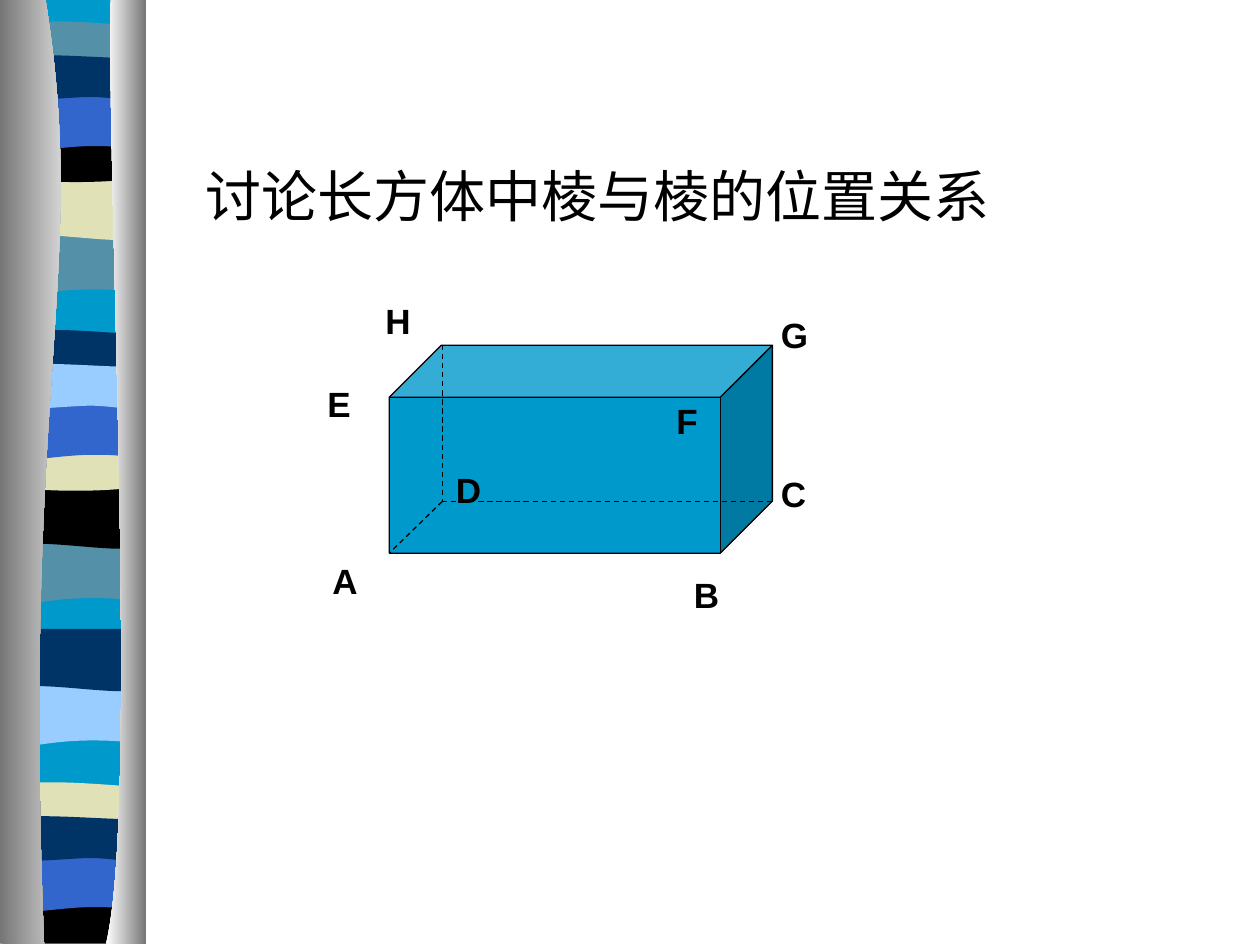
from pptx import Presentation
from pptx.dml.color import RGBColor
from pptx.enum.dml import MSO_LINE
from pptx.enum.shapes import MSO_CONNECTOR, MSO_SHAPE
from pptx.enum.text import MSO_ANCHOR, MSO_AUTO_SIZE, PP_ALIGN
from pptx.oxml.ns import qn
from pptx.util import Inches, Pt
from lxml import etree

DASH = MSO_LINE.DASH
STRAIGHT = MSO_CONNECTOR.STRAIGHT
CUBE = MSO_SHAPE.CUBE
TOP = MSO_ANCHOR.TOP
NO_FIT = MSO_AUTO_SIZE.NONE
LEFT = PP_ALIGN.LEFT

SKY, TEAL, SAND, NAVY = "0099CC", "5490A8", "E1E1B7", "003366"
BLACK, BLUE, PALE, WHITE, GREY = "000000", "3366CC", "99CCFF", "FFFFFF", "767676"

BANDS = {
    "wave": [(1.14, 0), (1.14, 0.47), (0.39, 0.39, 0.24, 0.55, 0.06, 0.47), (0.06, 0)],
    "swell": [(1.14, 0), (1.14, 0.47), (0.96, 0.55, 0.39, 0.41, 0.06, 0.47), (0.06, 0)],
    "lens": [(1.14, 0.05), (1.14, 0.29), (0.96, 0.33, 0.24, 0.33, 0.06, 0.29),
             (0.06, 0.05), (0.12, 0, 0.29, 0.01, 0.47, 0.01),
             (0.65, 0.01, 1, 0.04, 1.14, 0.05)],
    "dip": [(1.14, 0), (1.14, 0.32), (0.96, 0.38, 0.24, 0.38, 0.06, 0.32),
            (0.06, 0), (0.72, 0.05, 0.91, 0, 1.14, 0)],
    "foot": [(1.14, 0), (1.14, 0.37), (0.06, 0.37), (0.06, 0),
             (0.72, 0.05, 0.91, 0, 1.14, 0)],
    "arch": [(1.14, 0), (1.14, 0.47), (0.97, 0.42, 0.9, 0.42, 0.72, 0.42),
             (0.54, 0.42, 0.22, 0.47, 0.06, 0.47), (0.06, 0)],
    "ripple": [(1.14, 0.05), (1.14, 0.36), (1.07, 0.41, 0.9, 0.36, 0.72, 0.36),
               (0.54, 0.36, 0.17, 0.41, 0.06, 0.36), (0.06, 0.05),
               (0.21, 0, 0.79, 0.05, 0.97, 0.05), (1.15, 0.05, 1.1, 0.05, 1.14, 0.05)],
}
BAND_TOPS = {"wave": 1.85, "swell": 1.41, "lens": 0.16, "dip": 1.08,
             "foot": 1.08, "arch": 0.74, "ripple": 0.41}
BAND_SETS = [
    (0, {"wave": TEAL, "swell": SAND, "lens": TEAL,
         "dip": BLACK, "arch": BLUE, "ripple": NAVY}),
    (2.45, {"wave": TEAL, "swell": BLACK, "lens": NAVY,
            "dip": SAND, "arch": BLUE, "ripple": PALE}),
    (3.58, {"wave": PALE, "swell": NAVY}),
    (6.04, {"lens": SAND, "foot": BLACK, "arch": BLUE, "ripple": NAVY}),
]
LABELS = [("A", 2.54, 4.39), ("C", 6.1, 3.7), ("B", 5.41, 4.5), ("D", 3.52, 3.67),
          ("F", 5.27, 3.12), ("E", 2.5, 2.99), ("H", 2.96, 2.33), ("G", 6.1, 2.44)]


def rgb(value):
    """Return the colour of a hex string."""
    return RGBColor.from_string(value)


def bend(sp, outline):
    """Turn the segments of each six-number part into one Bezier curve."""
    segments = iter(list(sp._element.iter(qn("a:lnTo"))))
    for part in outline[1:]:
        first = next(segments)
        if len(part) == 6:
            first.tag = qn("a:cubicBezTo")
            for segment in (next(segments), next(segments)):
                first.append(segment[0])
                segment.getparent().remove(segment)


def add_outline(s, outline, *colors, top=0):
    """Add a closed outline with a solid fill or a left-to-right gradient."""
    points = [(Inches(part[i]), Inches(part[i + 1] + top))
              for part in outline for i in range(0, len(part), 2)]
    builder = s.shapes.build_freeform(*points[0], scale=1.0)
    builder.add_line_segments(points[1:], close=True)
    sp = builder.convert_to_shape()
    bend(sp, outline)
    sp.shadow.inherit = False
    sp.line.fill.background()
    if len(colors) == 1:
        sp.fill.solid()
        sp.fill.fore_color.rgb = rgb(colors[0])
    else:
        sp.fill.gradient()
        sp.fill.gradient_angle = 0
        for stop, color in zip(sp.fill.gradient_stops, colors):
            stop.color.rgb = rgb(color)


def add_ribbon(s):
    """Add the striped ribbon between its two grey edges."""
    add_outline(s, [(1.14, -0.01), (1.14, 7.47), (0.06, 7.47), (0.06, -0.01)], SKY)
    for offset, colors in BAND_SETS:
        for name, color in colors.items():
            add_outline(s, BANDS[name], color, top=BAND_TOPS[name] + offset)
    add_outline(s, [(0.36, -0.01), (0.71, 2.16, 0.17, 2.96, 0.35, 7.49),
                    (0, 7.49), (0, -0.01)], GREY, WHITE)
    add_outline(s, [(0.88, -0.01), (0.84, 1.25, 1.11, 6.46, 0.84, 7.49),
                    (1.16, 7.49), (1.16, -0.01)], WHITE, GREY)


def add_cuboid(s, left, top, width, height):
    """Add the cuboid."""
    sp = s.shapes.add_shape(CUBE, Inches(left), Inches(top), Inches(width), Inches(height))
    sp.adjustments[0] = 0.25
    sp.shadow.inherit = False
    sp.fill.solid()
    sp.fill.fore_color.rgb = rgb(SKY)
    sp.line.color.rgb = rgb(BLACK)
    sp.line.width = Pt(0.75)


def add_hidden_edge(s, start, end):
    """Add a dashed edge between two points."""
    line = s.shapes.add_connector(STRAIGHT, *map(Inches, start + end))
    line.line.color.rgb = rgb(BLACK)
    line.line.width = Pt(0.75)
    line.line.dash_style = DASH
    sp_pr = line._element.find(qn("p:spPr"))
    etree.SubElement(sp_pr, qn("a:effectLst"))


def put_text(sp, text, size, font, bold=False, color=BLACK):
    """Write one left-aligned line of formatted text into a shape."""
    tf = sp.text_frame
    tf.word_wrap = True
    tf.auto_size = NO_FIT
    tf.vertical_anchor = TOP
    p = tf.paragraphs[0]
    p.alignment = LEFT
    r = p.add_run()
    r.text = text
    r.font.size = Pt(size)
    r.font.name = font
    r.font.bold = bold
    r.font.color.rgb = rgb(color)


def add_title(s, text, left, top, width, height):
    """Move and fill the title placeholder."""
    sp = s.shapes.title
    sp.left, sp.top, sp.width, sp.height = map(Inches, (left, top, width, height))
    put_text(sp, text, 32, "Times New Roman")


def add_label(s, text, left, top):
    """Add the letter of a vertex."""
    sp = s.shapes.add_textbox(Inches(left), Inches(top), Inches(0.73), Inches(0.44))
    put_text(sp, text, 20, "Arial", bold=True)


def main():
    """Build the slide."""
    prs = Presentation()
    prs.slide_width, prs.slide_height = Inches(10), Inches(7.5)
    s = prs.slides.add_slide(prs.slide_layouts[5])
    add_ribbon(s)
    add_cuboid(s, 3.09, 2.74, 3.04, 1.65)
    top_corner, corner = (3.51, 2.74), (3.51, 3.98)
    add_hidden_edge(s, top_corner, corner)
    for end in [(6.14, 3.98), (3.09, 4.39)]:
        add_hidden_edge(s, corner, end)
    for label in LABELS:
        add_label(s, *label)
    add_title(s, "讨论长方体中棱与棱的位置关系", 1.53, 1.23, 6.77, 0.64)
    prs.save("out.pptx")


if __name__ == "__main__":
    main()
